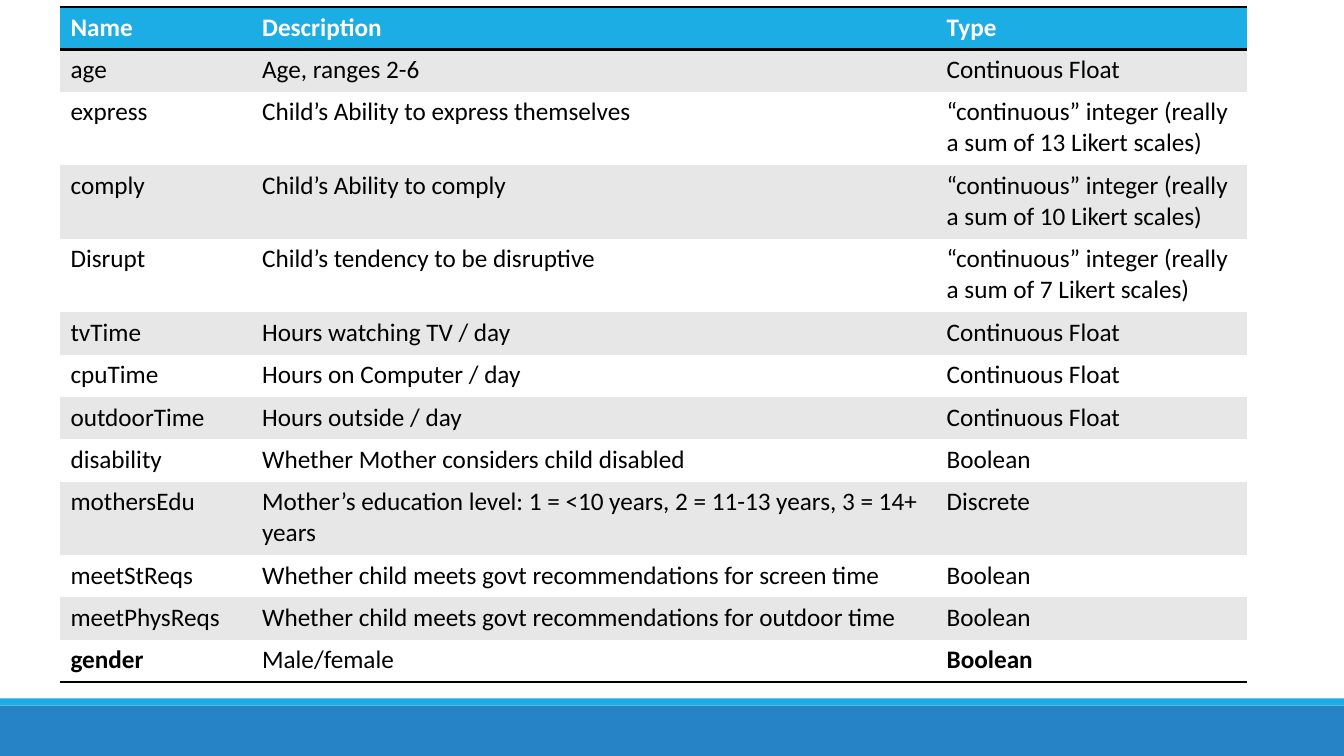
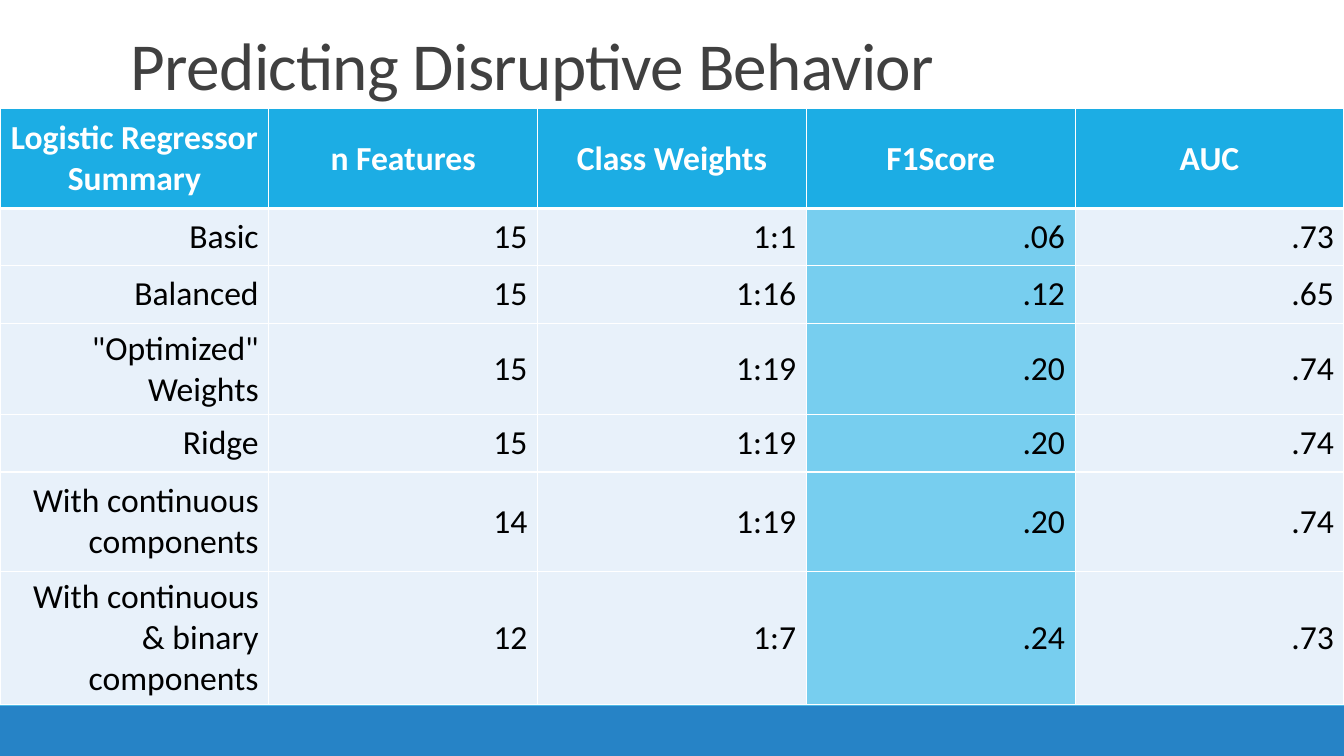
from dataclasses import dataclass, field

from lxml.etree import SubElement
from pptx import Presentation
from pptx.dml.color import RGBColor
from pptx.enum.shapes import MSO_SHAPE as Preset
from pptx.enum.text import MSO_ANCHOR as Anchor, PP_ALIGN as Align
from pptx.oxml.ns import qn
from pptx.util import Inches, Pt

WIDTH, HEIGHT = 13.33, 7.5
FONT = "Calibri"
COLORS = {
    "accent": "1CADE4",
    "footer": "2683C6",
    "title": "404040",
    "black": "000000",
    "white": "FFFFFF",
    "stripe": "E7E7E7",
    "pale": "E8F1FA",
    "highlight": "77CEEF",
}

LINE, TWO_LINES = 0.42, 0.73
VARIABLES = [
    ("Name", "Description", "Type"),
    ("age", "Age, ranges 2-6", "Continuous Float"),
    ("express", "Child’s Ability to express themselves",
     "“continuous” integer (really a sum of 13 Likert scales)"),
    ("comply", "Child’s Ability to comply",
     "“continuous” integer (really a sum of 10 Likert scales)"),
    ("Disrupt", "Child’s tendency to be disruptive",
     "“continuous” integer (really a sum of 7 Likert scales)"),
    ("tvTime", "Hours watching TV / day", "Continuous Float"),
    ("cpuTime", "Hours on Computer / day", "Continuous Float"),
    ("outdoorTime", "Hours outside / day", "Continuous Float"),
    ("disability", "Whether Mother considers child disabled", "Boolean"),
    ("mothersEdu",
     "Mother’s education level: 1 = <10 years, 2 = 11-13 years, 3 = 14+ years",
     "Discrete"),
    ("meetStReqs", "Whether child meets govt recommendations for screen time",
     "Boolean"),
    ("meetPhysReqs", "Whether child meets govt recommendations for outdoor time",
     "Boolean"),
    ("gender", "Male/female", "Boolean"),
]
TALL_VARIABLES = {"express", "comply", "Disrupt", "mothersEdu"}

SCORES = [
    ("Logistic Regressor Summary", "n Features", "Class Weights", "F1Score", "AUC"),
    ("Basic", "15", "1:1", ".06", ".73"),
    ("Balanced", "15", "1:16", ".12", ".65"),
    ('"Optimized" Weights', "15", "1:19", ".20", ".74"),
    ("Ridge", "15", "1:19", ".20", ".74"),
    ("With continuous components", "14", "1:19", ".20", ".74"),
    ("With continuous & binary components", "12", "1:7", ".24", ".73"),
]
SCORE_ROWS = [0.99, 0.57, 0.57, 0.91, 0.57, 0.99, 1.32]
F1_COLUMN = SCORES[0].index("F1Score")


@dataclass
class TableStyle:
    size: int
    body_fill: object
    line_color: str
    grid_width: float = 0
    rule_widths: dict = field(default_factory=dict)
    anchor: object = Anchor.TOP
    header_align: object = Align.LEFT
    body_align: object = Align.LEFT
    bold_cells: set = field(default_factory=set)


def color(name):
    return RGBColor.from_string(COLORS[name])


def set_font(paragraph, size, color_name, bold=False):
    font = paragraph.font
    font.name, font.size, font.bold = FONT, Pt(size), bold
    font.color.rgb = color(color_name)


def add_bands(slide):
    for name, top, height in (("footer", 7, 0.5), ("accent", 6.93, 0.07)):
        band = slide.shapes.add_shape(
            Preset.RECTANGLE, 0, Inches(top), Inches(WIDTH), Inches(height))
        band.shadow.inherit = False
        band.fill.solid()
        band.fill.fore_color.rgb = color(name)
        band.line.fill.background()


def add_title(slide, text, box):
    frame = slide.shapes.add_textbox(*map(Inches, box)).text_frame
    frame.word_wrap = True
    frame.vertical_anchor = Anchor.BOTTOM
    paragraph = frame.paragraphs[0]
    paragraph.line_spacing = 0.85
    run = paragraph.add_run()
    run.text = text
    set_font(paragraph, 48, "title")
    run._r.get_or_add_rPr().set("spc", "-50")


def set_borders(cell, widths, color_name):
    properties = cell._tc.get_or_add_tcPr()
    for side, width in zip("LRTB", widths):
        border = SubElement(properties, qn(f"a:ln{side}"), w=str(Pt(width)))
        if width:
            fill = SubElement(border, qn("a:solidFill"))
            SubElement(fill, qn("a:srgbClr"), val=COLORS[color_name])
        else:
            SubElement(border, qn("a:noFill"))


def fill_cell(cell, text, row, column, style):
    header = row == 0
    grid = style.grid_width
    top, bottom = (style.rule_widths.get(edge, grid) for edge in (row, row + 1))
    set_borders(cell, (grid, grid, top, bottom), style.line_color)
    cell.fill.solid()
    cell.fill.fore_color.rgb = color(
        "accent" if header else style.body_fill(row, column))
    cell.vertical_anchor = style.anchor
    cell.text = text
    paragraph = cell.text_frame.paragraphs[0]
    paragraph.alignment = style.header_align if header else style.body_align
    set_font(paragraph, style.size, "white" if header else "black",
             header or (row, column) in style.bold_cells)


def add_data_table(slide, data, box, column_weights, row_weights, style):
    table = slide.shapes.add_table(
        len(data), len(data[0]), *map(Inches, box)).table
    table.horz_banding = False
    for lines, weights, extent, dimension in (
            (table.columns, column_weights, box[2], "width"),
            (table.rows, row_weights, box[3], "height")):
        for line, weight in zip(lines, weights):
            setattr(line, dimension, Inches(extent * weight / sum(weights)))
    for row, texts in enumerate(data):
        for column, text in enumerate(texts):
            fill_cell(table.cell(row, column), text, row, column, style)


def build_variables_slide(slide):
    add_bands(slide)
    last = len(VARIABLES) - 1
    style = TableStyle(
        size=18,
        body_fill=lambda row, column: "stripe" if row % 2 else "white",
        line_color="black",
        rule_widths={0: 2, 1: 2, last + 1: 2},
        bold_cells={(last, 0), (last, 2)})
    row_weights = [TWO_LINES if name in TALL_VARIABLES else LINE
                   for name, *_ in VARIABLES]
    add_data_table(slide, VARIABLES, (0.6, 0.07, 11.77, 6.7),
                   [1.9, 6.79, 3.08], row_weights, style)


def build_scores_slide(slide):
    add_bands(slide)
    add_title(slide, "Predicting Disruptive Behavior", (1.2, 0.16, 11, 0.92))
    style = TableStyle(
        size=24,
        body_fill=lambda row, column: "highlight" if column == F1_COLUMN else "pale",
        line_color="white",
        grid_width=1,
        rule_widths={1: 3},
        anchor=Anchor.MIDDLE,
        header_align=Align.CENTER,
        body_align=Align.RIGHT)
    add_data_table(slide, SCORES, (0, 1.08, WIDTH, 5.91),
                   [1] * len(SCORES[0]), SCORE_ROWS, style)


def main():
    presentation = Presentation()
    presentation.slide_width = Inches(WIDTH)
    presentation.slide_height = Inches(HEIGHT)
    blank = presentation.slide_layouts[6]
    for build in (build_variables_slide, build_scores_slide):
        build(presentation.slides.add_slide(blank))
    presentation.save("out.pptx")


if __name__ == "__main__":
    main()
